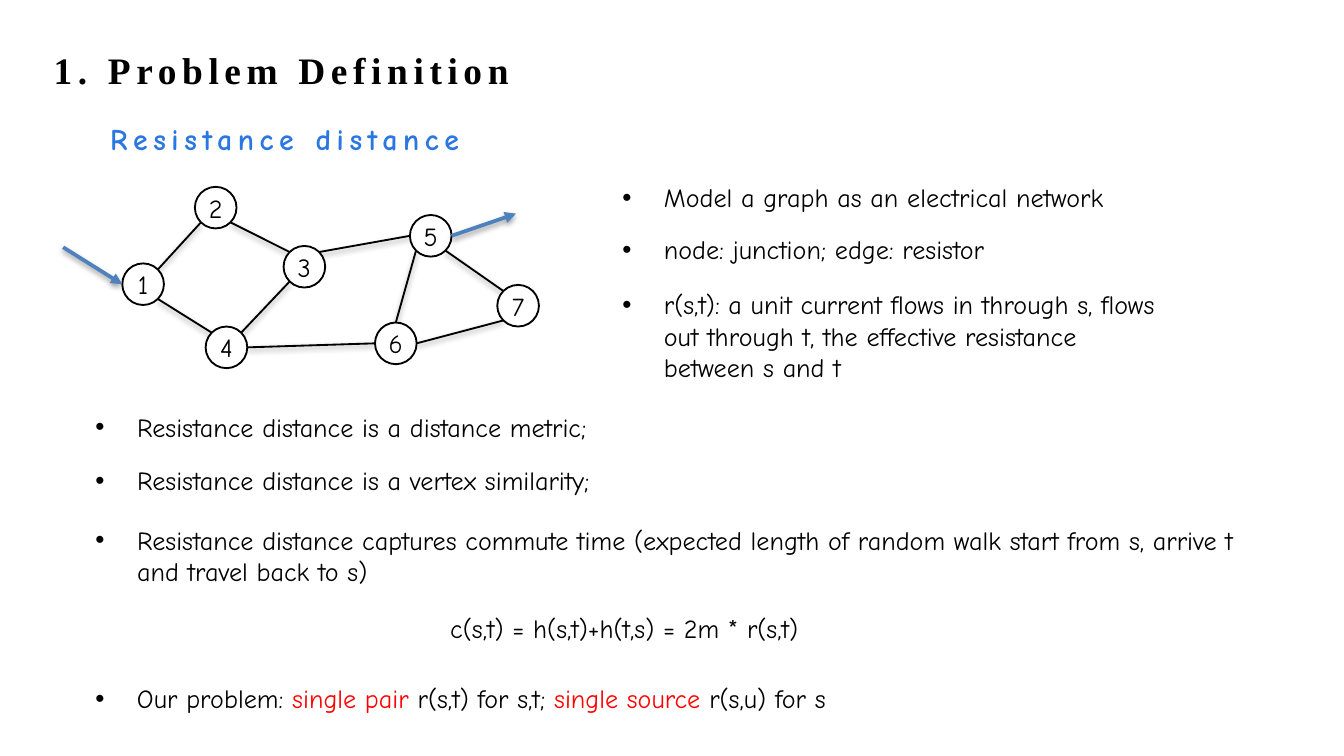
import math
from dataclasses import dataclass

import lxml.etree
import pptx
import pptx.dml.color
import pptx.enum.shapes
import pptx.enum.text
import pptx.oxml
import pptx.oxml.ns
import pptx.util

Inches = pptx.util.Inches
Pt = pptx.util.Pt

HUES = {
    "ink": "000000",
    "paper": "FFFFFF",
    "title": "2A77E1",
    "flow": "4F81BD",
    "mark": "FF0000",
}
HAND = "Comic Neue"
SERIF = "Times New Roman"
SIZE = 0.31  # node width, also the bullet indent

# Compass points on a node, as angles measured clockwise from the right
SIDES = {"E": 0, "SE": 45, "S": 90, "SW": 135,
         "W": 180, "NW": 225, "N": 270, "NE": 315}


@dataclass
class Node:
    left: float
    top: float

    def point(self, side: str) -> tuple[float, float]:
        turn = math.radians(SIDES[side])
        half = SIZE / 2
        return (self.left + half + half * math.cos(turn),
                self.top + half + half * math.sin(turn))


@dataclass
class Edge:
    start: int
    exit: str
    end: int
    entry: str


@dataclass
class Run:
    text: str
    hue: str = "ink"


@dataclass
class Block:
    left: float
    top: float
    width: float
    height: float
    runs: list[Run]
    bullet: bool = True
    size: int = 14
    font: str = HAND
    bold: bool = False
    track: int = 0  # letter spacing in points


NODES = {
    1: Node(0.91, 1.96),
    2: Node(1.45, 1.39),
    3: Node(2.11, 1.83),
    4: Node(1.53, 2.43),
    5: Node(3.05, 1.6),
    6: Node(2.79, 2.4),
    7: Node(3.7, 2.12),
}
EDGES = [
    Edge(2, "SW", 1, "NE"),
    Edge(1, "SE", 4, "NW"),
    Edge(2, "SE", 3, "NW"),
    Edge(3, "SW", 4, "NE"),
    Edge(3, "NE", 5, "W"),
    Edge(5, "SW", 6, "N"),
    Edge(5, "SE", 7, "NW"),
    Edge(4, "E", 6, "W"),
    Edge(6, "E", 7, "SW"),
]
BLOCKS = [
    # Headings
    Block(0.35, 0.3, 9.73, 0.44, [Run("1. Problem Definition")],
          bullet=False, size=20, font=SERIF, bold=True, track=3),
    Block(0.77, 0.85, 5.06, 0.37, [Run("Resistance distance", "title")],
          bullet=False, size=16, bold=True, track=3),
    # Notes beside the graph
    Block(4.58, 1.3, 4.15, 0.34,
          [Run("Model a graph as an electrical network")]),
    Block(4.58, 1.69, 4.15, 0.34, [Run("node: junction; edge: resistor")]),
    Block(4.58, 2.1, 4.15, 0.81,
          [Run("r(s,t): a unit current flows in through s, flows out through t, "
               "the effective resistance between s and t")]),
    # Facts below the graph
    Block(0.66, 3.01, 4.52, 0.34,
          [Run("Resistance distance is a distance metric;")]),
    Block(0.66, 3.41, 4.52, 0.34,
          [Run("Resistance distance is a vertex similarity;")]),
    Block(0.66, 3.85, 8.65, 0.57,
          [Run("Resistance distance captures commute time (expected length of "
               "random walk start from s, arrive t and travel back to s)")]),
    Block(3.3, 4.51, 4.52, 0.34,
          [Run("c(s,t) = h(s,t)+h(t,s) = 2m * r(s,t)")], bullet=False),
    Block(0.66, 5.03, 8.07, 0.49,
          [Run("Our problem: "), Run("single pair", "mark"),
           Run(" r(s,t) for s,t; "), Run("single source ", "mark"),
           Run("r(s,u) for s")]),
]


def tint(name: str) -> pptx.dml.color.RGBColor:
    return pptx.dml.color.RGBColor.from_string(HUES[name])


def add_tag(parent, name: str, **attrs: str):
    return lxml.etree.SubElement(parent, pptx.oxml.ns.qn(name), attrs)


def add_run(para, run: Run, size: int, font: str):
    part = para.add_run()
    part.text = run.text
    part.font.size = Pt(size)
    part.font.name = font
    part.font.color.rgb = tint(run.hue)
    return part


def draw_line(slide, start: tuple[float, float], end: tuple[float, float],
              hue: str = "ink", width: int = 1, arrow: bool = False) -> None:
    line = slide.shapes.add_connector(
        pptx.enum.shapes.MSO_CONNECTOR.STRAIGHT,
        *(Inches(num) for num in (*start, *end)))
    line.line.color.rgb = tint(hue)
    line.line.width = Pt(width)
    props = line._element.spPr
    if arrow:
        add_tag(props.find(pptx.oxml.ns.qn("a:ln")), "a:tailEnd",
                type="triangle")
    # Soft shadow straight below the line
    shade = add_tag(add_tag(props, "a:effectLst"), "a:outerShdw",
                    blurRad=str(Pt(3)), dist=str(Pt(1.6)),
                    dir="5400000", rotWithShape="0")
    color = add_tag(shade, "a:srgbClr", val=HUES["ink"])
    add_tag(color, "a:alpha", val="38000")


def draw_node(slide, label: int, node: Node) -> None:
    disc = slide.shapes.add_shape(
        pptx.enum.shapes.MSO_SHAPE.OVAL, Inches(node.left), Inches(node.top),
        Inches(SIZE), Inches(SIZE))
    disc.shadow.inherit = False
    disc.fill.solid()
    disc.fill.fore_color.rgb = tint("paper")
    disc.line.color.rgb = tint("ink")
    disc.line.width = Pt(1)
    frame = disc.text_frame
    frame.margin_left = frame.margin_right = 0
    frame.margin_top = frame.margin_bottom = 0
    frame.word_wrap = False
    frame.vertical_anchor = pptx.enum.text.MSO_ANCHOR.MIDDLE
    para = frame.paragraphs[0]
    para.alignment = pptx.enum.text.PP_ALIGN.CENTER
    add_run(para, Run(str(label)), 14, HAND)


def draw_block(slide, block: Block) -> None:
    box = slide.shapes.add_textbox(
        Inches(block.left), Inches(block.top),
        Inches(block.width), Inches(block.height))
    frame = box.text_frame
    frame.word_wrap = True
    frame.margin_left = frame.margin_right = Inches(0.05)
    frame.margin_top = frame.margin_bottom = Inches(0.05)
    para = frame.paragraphs[0]
    if block.bullet:
        props = para._p.get_or_add_pPr()
        props.set("marL", str(Inches(SIZE)))
        props.set("indent", str(-Inches(SIZE)))
        add_tag(props, "a:buFont", typeface="Arial")
        add_tag(props, "a:buChar", char="•")
    for run in block.runs:
        part = add_run(para, run, block.size, block.font)
        part.font.bold = block.bold
        if block.track:
            part.font._element.set("spc", str(block.track * 100))


def main() -> None:
    deck = pptx.Presentation()
    deck.slide_width = Inches(10)
    deck.slide_height = Inches(10 * 9 / 16)
    slide = deck.slides.add_slide(deck.slide_layouts[6])

    # Graph
    for edge in EDGES:
        draw_line(slide, NODES[edge.start].point(edge.exit),
                  NODES[edge.end].point(edge.entry))
    for label, node in NODES.items():
        draw_node(slide, label, node)

    # Current in and out
    draw_line(slide, (0.47, 1.84), NODES[1].point("W"), "flow", 2, True)
    draw_line(slide, NODES[5].point("E"), (3.84, 1.59), "flow", 2, True)

    # Text
    for block in BLOCKS:
        draw_block(slide, block)
    deck.save("out.pptx")


if __name__ == "__main__":
    main()
